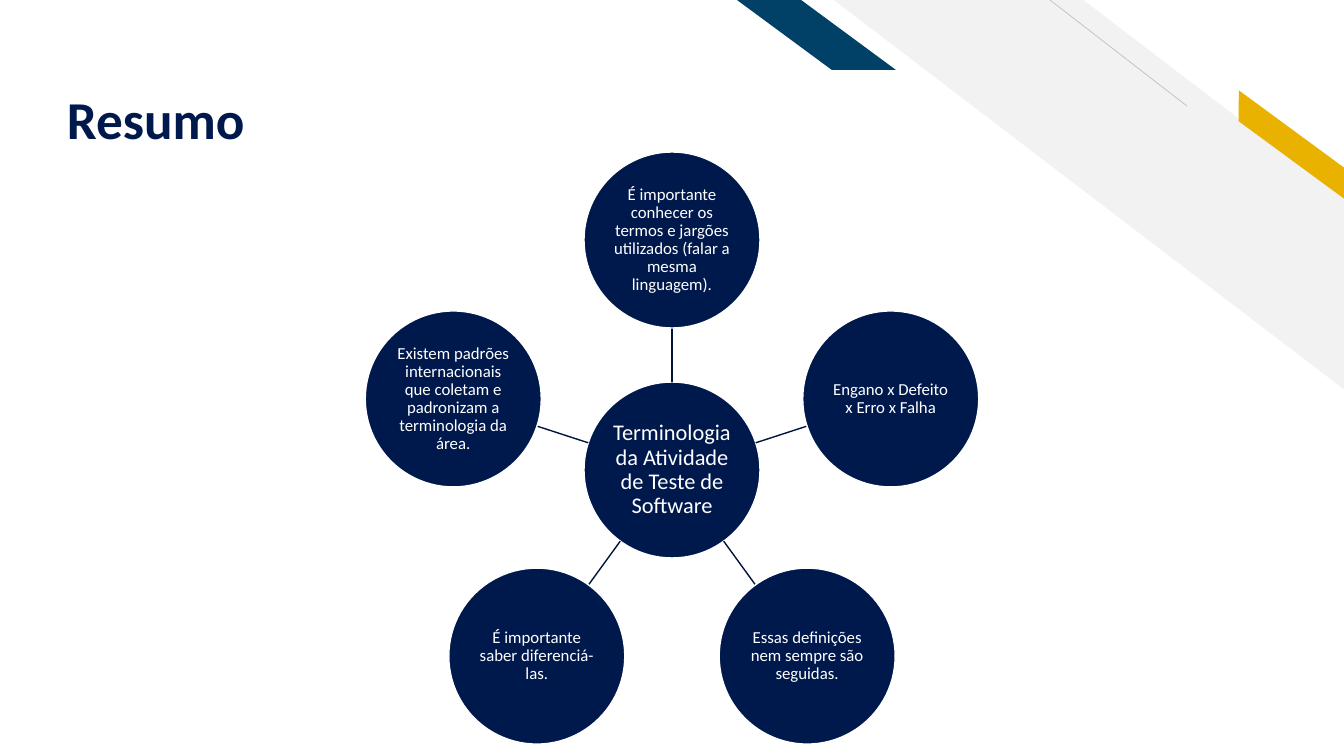
import math

import pptx
import pptx.dml.color
import pptx.enum.shapes
import pptx.enum.text
import pptx.oxml
import pptx.util

RGB = pptx.dml.color.RGBColor
NAVY = RGB(0x00, 0x19, 0x4C)
SPOKE = RGB(0x00, 0x14, 0x3D)
TEAL = RGB(0x01, 0x40, 0x67)
GOLD = RGB(0xEA, 0xB2, 0x00)
PALE = RGB(0xF2, 0xF2, 0xF2)
GREY = RGB(0xBF, 0xBF, 0xBF)
WHITE = RGB(0xFF, 0xFF, 0xFF)

TITLE = "Resumo"
HUB = "Terminologia da Atividade de Teste de Software"
TOPICS = [
    "É importante conhecer os termos e jargões utilizados (falar a mesma linguagem).",
    "Engano x Defeito x Erro x Falha",
    "Essas definições nem sempre são seguidas.",
    "É importante saber diferenciá-las.",
    "Existem padrões internacionais que coletam e padronizam a terminologia da área.",
]

KINDS = pptx.enum.shapes.MSO_SHAPE
PALE_STRIPE = (KINDS.DIAGONAL_STRIPE, (834, 0, 511, 390), 0.512, 0, PALE)
BARS = [
    (KINDS.PARALLELOGRAM, (1217, 132, 149, 25), 0.72, 36.3, GOLD),
    (KINDS.PARALLELOGRAM, (737, 0, 159, 70), 1.356, 0, TEAL),
]
THIN_LINE = ((1187, 106), (1050, 0))
TITLE_AREA = (57, 23, 918, 127)
CENTRE = (672, 470)
ORBIT, RADIUS = 230, 88
SPOKE_ENDS = (RADIUS, ORBIT - RADIUS)

WIDTH, HEIGHT = 1344, 756
EMU_PER_PX = 12192000 / WIDTH


def px(*lengths):
    return [pptx.util.Emu(round(length * EMU_PER_PX)) for length in lengths]


def assign(target, values):
    for name, value in values.items():
        setattr(target, name, value)


def polar(distance, angle):
    return (CENTRE[0] + distance * math.cos(angle),
            CENTRE[1] + distance * math.sin(angle))


def add_line(page, start, end, color, points):
    line = page.shapes.add_connector(
        pptx.enum.shapes.MSO_CONNECTOR.STRAIGHT, *px(*start, *end))
    assign(line.line, {"width": pptx.util.Pt(points)})
    line.line.color.rgb = color
    properties = line.element.spPr
    properties.append(pptx.oxml.parse_xml(
        '<a:effectLst xmlns:a="http://schemas.openxmlformats.org/drawingml/2006/main"/>'))


def add_solid(page, kind, area, color):
    shape = page.shapes.add_shape(kind, *px(*area))
    shape.shadow.inherit = False
    shape.fill.solid()
    shape.fill.fore_color.rgb = color
    return shape


def add_stripe(page, kind, area, adjustment, rotation, color):
    stripe = add_solid(page, kind, area, color)
    stripe.line.fill.background()
    stripe.adjustments[0] = adjustment
    stripe.rotation = rotation
    stripe.element.spPr.xfrm.set("flipH", "1")


def write(box, text, insets, anchor, paragraph_format, font_format, color):
    frame = box.text_frame
    sides = ("margin_left", "margin_top", "margin_right", "margin_bottom")
    assign(frame, dict(zip(sides, px(*insets))))
    assign(frame, {"word_wrap": True, "vertical_anchor": anchor})
    para = frame.paragraphs[0]
    assign(para, paragraph_format)
    span = para.add_run()
    span.text = text
    assign(span.font, {"name": "Calibri", **font_format})
    span.font.color.rgb = color


def add_circle(page, centre, text, size):
    area = (centre[0] - RADIUS, centre[1] - RADIUS, 2 * RADIUS, 2 * RADIUS)
    circle = add_solid(page, KINDS.OVAL, area, NAVY)
    circle.line.color.rgb = WHITE
    circle.line.width = pptx.util.Pt(1)
    write(circle, text, (1, 1, 1, 1), pptx.enum.text.MSO_ANCHOR.MIDDLE,
          {"alignment": pptx.enum.text.PP_ALIGN.CENTER, "line_spacing": 0.9},
          {"size": pptx.util.Pt(size)}, WHITE)


def main():
    deck = pptx.Presentation()
    deck.slide_width, deck.slide_height = px(WIDTH, HEIGHT)
    page = deck.slides.add_slide(deck.slide_layouts[6])

    add_stripe(page, *PALE_STRIPE)
    add_line(page, *THIN_LINE, GREY, 0.5)
    for bar in BARS:
        add_stripe(page, *bar)

    title = page.shapes.add_textbox(*px(*TITLE_AREA))
    write(title, TITLE, (10, 5, 10, 0), pptx.enum.text.MSO_ANCHOR.BOTTOM,
          {"line_spacing": 1.0}, {"size": pptx.util.Pt(38), "bold": True}, NAVY)

    add_circle(page, CENTRE, HUB, 16)
    for index, topic in enumerate(TOPICS):
        angle = math.radians(-90 + index * 360 / len(TOPICS))
        start, end = (polar(distance, angle) for distance in SPOKE_ENDS)
        add_line(page, start, end, SPOKE, 1)
        add_circle(page, polar(ORBIT, angle), topic, 12)

    deck.save("out.pptx")


if __name__ == "__main__":
    main()
